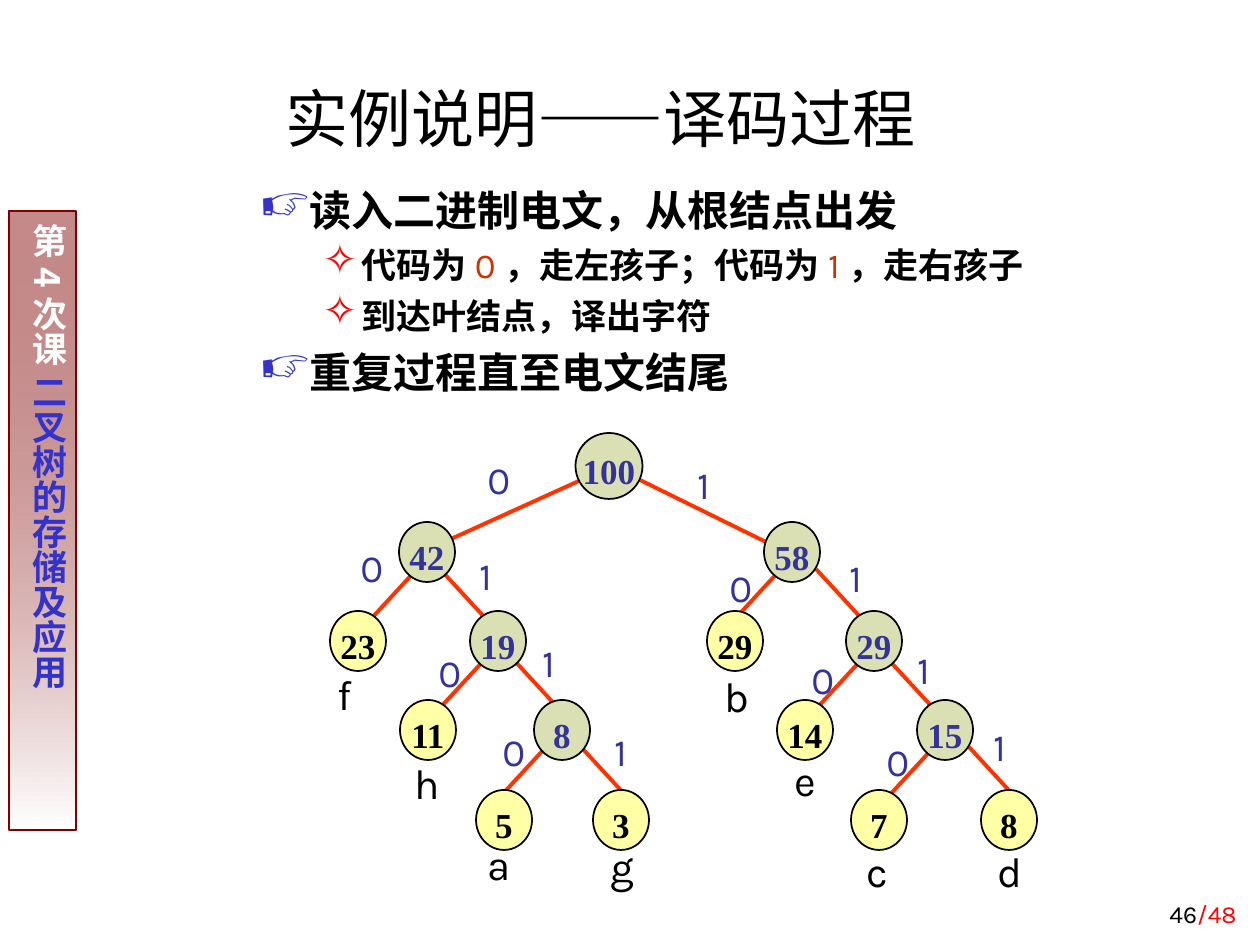
"""Build the slide that shows decoding with a Huffman tree."""
from dataclasses import dataclass

from lxml.etree import SubElement
from pptx import Presentation
from pptx.dml.color import RGBColor
from pptx.enum.shapes import MSO_CONNECTOR as Connector, MSO_SHAPE as Preset
from pptx.enum.text import MSO_ANCHOR as Anchor, PP_ALIGN as Align
from pptx.oxml.ns import qn
from pptx.util import Emu, Pt


@dataclass(frozen=True)
class Theme:
    black: str = "000000"
    white: str = "FFFFFF"
    red: str = "FF0000"
    blue: str = "3333CC"
    navy: str = "333399"
    code: str = "CC3300"
    edge: str = "FF3300"
    maroon: str = "800000"
    branch: str = "DBE0B4"
    leaf: str = "FFFFA5"
    sans: str = "Karla"
    serif: str = "Times New Roman"
    chinese: str = "Noto Sans CJK SC"
    title: int = 36
    body: int = 24
    bit: int = 22
    small: int = 20
    footer: int = 14


THEME = Theme()
PX = 914400 / 126

TITLE = [("实例说明", {}), ("——", {"font": THEME.serif}), ("译码过程", {})]
SIDEBAR = [("第4次课 ", {"color": THEME.white}), ("二叉树的存储及应用", {"color": THEME.blue})]
PAGE_NUMBER = [("46", {}), ("/48", {"color": THEME.red})]
CODE = {"color": THEME.code, "bold": False}
POINTS = [
    (0, [("读入二进制电文，从根结点出发", {})]),
    (1, [("代码为", {}), ("0", CODE), ("，走左孩子；代码为", {}), ("1", CODE), ("，走右孩子", {})]),
    (1, [("到达叶结点，译出字符", {})]),
    (0, [("重复过程直至电文结尾", {})]),
]
LEVELS = [
    {"size": THEME.body, "bullet": "☞", "color": THEME.blue, "margin": 48, "hang": 48, "before": 6},
    {"size": THEME.small, "bullet": "✧", "color": THEME.red, "margin": 102, "hang": 39, "before": 5},
]

ROW_Y = [466, 552, 641, 730, 820]
ROOT_SIZE, NODE_SIZE = (67, 66), (56, 60)
ROOT_RUN, NODE_RUN = (((-141, 64), (130, 64))), ((-47, 51), (47, 51))
# weight, row, centre x, (left, right) edge starts, (zero, one) label corners
BRANCHES = [
    ("100", 0, 609, (581, 640), ((475, 450), (680, 455))),
    ("42", 1, 427, (417, 440), ((348, 538), (462, 546))),
    ("58", 1, 792, (781, 816), ((717, 558), (832, 548))),
    ("19", 2, 498, (486, 512), ((426, 643), (525, 633))),
    ("29", 2, 874, (863, 887), ((799, 650), (900, 640))),
    ("8", 3, 562, (546, 581), ((490, 722), (597, 722))),
    ("15", 3, 945, (934, 969), ((874, 732), (976, 717))),
]
LEAVES = [
    ("23", 2, 358, "f", (345, 662)),
    ("29", 2, 735, "b", (737, 664)),
    ("11", 3, 428, "h", (427, 751)),
    ("14", 3, 805, "e", (805, 748)),
    ("5", 4, 504, "a", (499, 832)),
    ("3", 4, 621, "g", (622, 834)),
    ("7", 4, 879, "c", (877, 839)),
    ("8", 4, 1009, "d", (1010, 839)),
]


def px(*lengths):
    return [Emu(round(length * PX)) for length in lengths]


def rgb(color):
    return RGBColor.from_string(color)


def write(para, spans, size, **base):
    for text, changes in spans:
        look = {"font": THEME.sans, "color": THEME.black, "bold": False, **base, **changes}
        span = para.add_run()
        span.text = text
        values = {"name": look["font"], "size": Pt(size), "bold": look["bold"]}
        for name, value in values.items():
            setattr(span.font, name, value)
        span.font.color.rgb = rgb(look["color"])
        SubElement(span.font._element, qn("a:ea"), typeface=THEME.chinese)


def set_frame(box, **values):
    for name, value in values.items():
        setattr(box.text_frame, name, value)
    return box.text_frame


def add_text(page, area, spans, size, align=Align.CENTER, anchor=Anchor.TOP, wrap=True):
    box = page.shapes.add_textbox(*px(*area))
    para = set_frame(box, word_wrap=wrap, vertical_anchor=anchor).paragraphs[0]
    para.alignment = align
    write(para, spans, size)


def add_points(page):
    box = page.shapes.add_textbox(*px(247, 178, 852, 246))
    frame = set_frame(box, word_wrap=True)
    for index, (level, spans) in enumerate(POINTS):
        style = LEVELS[level]
        para = frame.paragraphs[0] if index == 0 else frame.add_paragraph()
        para.level = level
        para.space_before = Pt(style["before"])
        write(para, spans, style["size"], bold=True)
        layout = para._p.get_or_add_pPr()
        margin, hang = px(style["margin"], style["hang"])
        layout.set("marL", str(margin))
        layout.set("indent", str(-hang))
        SubElement(SubElement(layout, qn("a:buClr")), qn("a:srgbClr"), val=style["color"])
        SubElement(layout, qn("a:buSzPct"), val="120000")
        SubElement(layout, qn("a:buChar"), char=style["bullet"])


def add_sidebar(page):
    bar = page.shapes.add_shape(Preset.RECTANGLE, *px(9, 211, 67, 619))
    bar.shadow.inherit = False
    bar.fill.gradient()
    bar.fill.gradient_angle = 270
    for stop, color in zip(bar.fill.gradient_stops, (THEME.maroon, THEME.white)):
        stop.color.rgb = rgb(color)
    SubElement(bar.element.find(".//" + qn("a:gs"))[0], qn("a:alpha"), val="46000")
    bar.line.color.rgb = rgb(THEME.maroon)
    bar.line.width = Pt(0.75)
    side, end = px(6, 13)
    frame = set_frame(bar, word_wrap=True, vertical_anchor=Anchor.TOP, margin_left=side,
                      margin_right=side, margin_top=end, margin_bottom=end)
    bar.element.find(".//" + qn("a:bodyPr")).set("vert", "eaVert")
    frame.paragraphs[0].alignment = Align.CENTER
    write(frame.paragraphs[0], SIDEBAR, THEME.small, font=THEME.chinese, bold=True)


def add_edge(page, x, y, run):
    line = page.shapes.add_connector(Connector.STRAIGHT, *px(x, y, x + run[0], y + run[1]))
    line.line.color.rgb = rgb(THEME.edge)
    line.line.width = Pt(2.25)
    SubElement(line.element.spPr, qn("a:effectLst"))


def add_node(page, weight, row, x, fill, color):
    width, height = NODE_SIZE if row else ROOT_SIZE
    area = px(x - width / 2, ROW_Y[row] - height / 2, width, height)
    node = page.shapes.add_shape(Preset.OVAL, *area)
    node.shadow.inherit = False
    node.fill.solid()
    node.fill.fore_color.rgb = rgb(fill)
    node.line.color.rgb = rgb(THEME.black)
    node.line.width = Pt(1)
    para = set_frame(node, word_wrap=False, vertical_anchor=Anchor.MIDDLE).paragraphs[0]
    para.alignment = Align.CENTER
    para.line_spacing = 1.2
    write(para, [(weight, {})], THEME.small, font=THEME.serif, color=color, bold=True)


def add_tree(page):
    for _, row, _, starts, _ in BRANCHES:
        for x, run in zip(starts, NODE_RUN if row else ROOT_RUN):
            add_edge(page, x, ROW_Y[row] + (17 if row else 14), run)
    for weight, row, x, _, corners in BRANCHES:
        add_node(page, weight, row, x, THEME.branch, THEME.navy)
        for bit, corner in zip("01", corners):
            add_text(page, (*corner, 47, 59), [(bit, {"color": THEME.navy})], THEME.bit, wrap=False)
    for weight, row, x, letter, (center, top) in LEAVES:
        add_node(page, weight, row, x, THEME.leaf, THEME.black)
        add_text(page, (center - 25, top, 50, 63), [(letter, {})], THEME.body, wrap=False)


def main():
    deck = Presentation()
    deck.slide_width, deck.slide_height = px(1260, 945)
    page = deck.slides.add_slide(deck.slide_layouts[6])
    add_sidebar(page)
    add_text(page, (987, 872, 262, 63), PAGE_NUMBER, THEME.footer, Align.RIGHT, Anchor.BOTTOM)
    add_text(page, (213, 45, 774, 116), TITLE, THEME.title, anchor=Anchor.BOTTOM)
    add_points(page)
    add_tree(page)
    deck.save("out.pptx")


if __name__ == "__main__":
    main()
